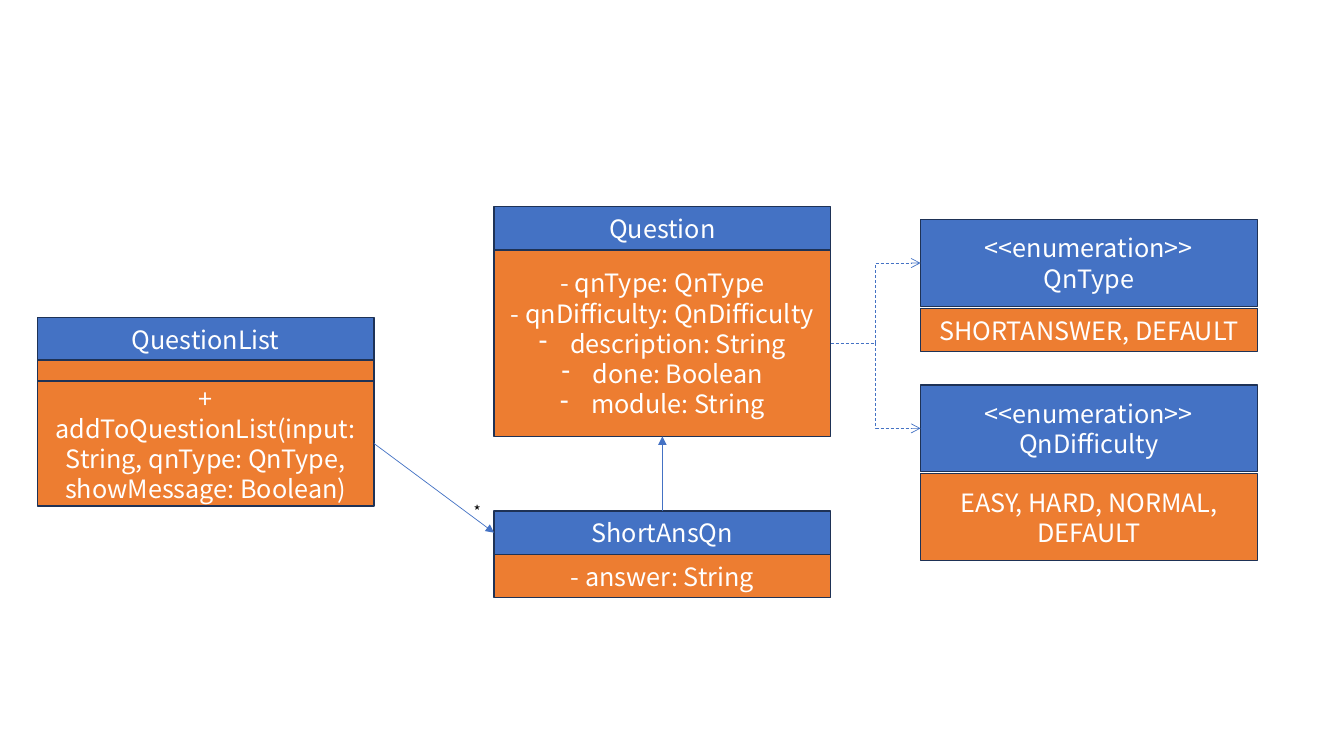
import pptx
import pptx.util
import pptx.dml.color
import pptx.enum.dml
import pptx.enum.shapes
import pptx.enum.text
import pptx.oxml.ns
import lxml.etree
from pptx.util import Inches

TOP, LEFT, BOTTOM, RIGHT = range(4)


def color(hex_value):
    return pptx.dml.color.RGBColor.from_string(hex_value)


def add_xml(parent, tag, **attributes):
    return lxml.etree.SubElement(parent, pptx.oxml.ns.qn(tag), attributes)


class ClassDiagram:
    FONT = "Noto Sans CJK SC"
    HEADER = "4472C4"
    BODY = "ED7D31"
    BORDER = "1E3256"
    WIDTH = 3.34

    def __init__(self, slide):
        self.shapes = slide.shapes

    def style(self, paragraph, size, hex_value):
        paragraph.font.name = self.FONT
        paragraph.font.size = pptx.util.Pt(size)
        paragraph.font.color.rgb = color(hex_value)

    def compartment(self, left, top, height, fill, lines=(), bullets=()):
        box = self.shapes.add_shape(
            pptx.enum.shapes.MSO_SHAPE.RECTANGLE,
            Inches(left), Inches(top), Inches(self.WIDTH), Inches(height))
        box.shadow.inherit = False
        box.fill.solid()
        box.fill.fore_color.rgb = color(fill)
        box.line.color.rgb = color(self.BORDER)
        box.line.width = pptx.util.Pt(1)
        frame = box.text_frame
        frame.word_wrap = True
        frame.vertical_anchor = pptx.enum.text.MSO_ANCHOR.MIDDLE
        frame.text = "\n".join([*lines, *bullets])
        for index, paragraph in enumerate(frame.paragraphs):
            paragraph.alignment = pptx.enum.text.PP_ALIGN.CENTER
            self.style(paragraph, 18, "FFFFFF")
            if bullets and index >= len(lines):
                self.bullet(paragraph)
        return box

    def bullet(self, paragraph):
        properties = paragraph._p.get_or_add_pPr()
        properties.set("marL", str(Inches(0.31)))
        properties.set("indent", str(Inches(-0.31)))
        mark = pptx.oxml.ns.qn("a:buChar")
        properties.insert(0, properties.makeelement(mark, {"char": "-"}))

    def relation(self, source, source_side, target, target_side, head, dashed=False):
        kinds = pptx.enum.shapes.MSO_CONNECTOR
        link = self.shapes.add_connector(
            kinds.ELBOW if dashed else kinds.STRAIGHT, 0, 0, 0, 0)
        link.begin_connect(source, source_side)
        link.end_connect(target, target_side)
        link.line.color.rgb = color(self.HEADER)
        link.line.width = pptx.util.Pt(0.5)
        if dashed:
            link.line.dash_style = pptx.enum.dml.MSO_LINE.DASH
        add_xml(link.line._get_or_add_ln(), "a:tailEnd", type=head)
        add_xml(link._element.spPr, "a:effectLst")

    def multiplicity(self, left, top, text):
        label = self.shapes.add_textbox(
            Inches(left), Inches(top), Inches(1), Inches(0.29))
        label.text_frame.word_wrap = True
        label.text_frame.auto_size = pptx.enum.text.MSO_AUTO_SIZE.SHAPE_TO_FIT_TEXT
        label.text_frame.text = text
        self.style(label.text_frame.paragraphs[0], 11, "000000")


def main():
    deck = pptx.Presentation()
    deck.slide_width = Inches(13.33)
    deck.slide_height = Inches(7.5)
    diagram = ClassDiagram(deck.slides.add_slide(deck.slide_layouts[6]))
    header, body = diagram.HEADER, diagram.BODY
    list_left, question_left, enum_left = 0.37, 4.9, 9.13

    diagram.compartment(question_left, 2.05, 0.43, header, ["Question"])
    question = diagram.compartment(
        question_left, 2.48, 1.85, body,
        ["- qnType: QnType", "- qnDifficulty: QnDifficulty"],
        ["description: String", "done: Boolean", "module: String"])

    enumerations = []
    for name, top, values, values_height in (
            ("QnType", 2.18, "SHORTANSWER, DEFAULT", 0.43),
            ("QnDifficulty", 3.82, "EASY, HARD, NORMAL, DEFAULT", 0.86)):
        enumerations.append(diagram.compartment(
            enum_left, top, 0.86, header, ["<<enumeration>>", name]))
        diagram.compartment(enum_left, top + 0.88, values_height, body, [values])

    short_answer = diagram.compartment(
        question_left, 5.07, 0.43, header, ["ShortAnsQn"])
    diagram.compartment(question_left, 5.5, 0.43, body, ["- answer: String"])

    diagram.compartment(list_left, 3.15, 0.43, header, ["QuestionList"])
    diagram.compartment(list_left, 3.57, 0.22, body)
    list_methods = diagram.compartment(
        list_left, 3.78, 1.24, body,
        ["+ addToQuestionList(input: String, qnType: QnType, showMessage: Boolean)"])

    for enumeration in enumerations:
        diagram.relation(question, RIGHT, enumeration, LEFT, "arrow", dashed=True)
    diagram.relation(short_answer, TOP, question, BOTTOM, "triangle")
    diagram.relation(list_methods, RIGHT, short_answer, LEFT, "triangle")
    diagram.multiplicity(4.6, 4.93, "*")

    deck.save("out.pptx")


if __name__ == "__main__":
    main()
